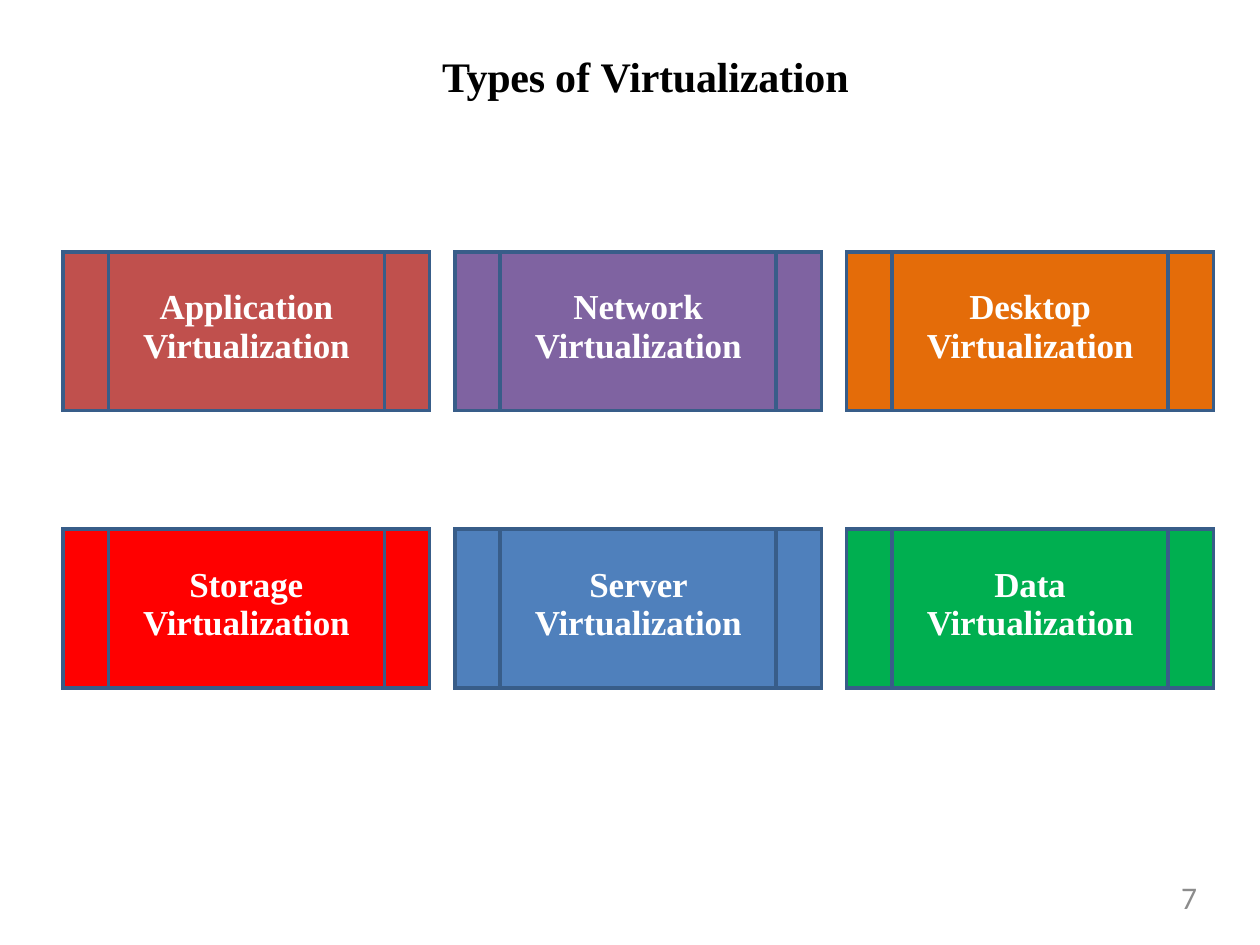
from lxml.etree import SubElement
from pptx import Presentation
from pptx.dml.color import RGBColor
from pptx.enum.text import MSO_AUTO_SIZE, PP_ALIGN
from pptx.oxml import parse_xml
from pptx.oxml.ns import nsdecls, qn
from pptx.util import Inches, Pt

# Each row: (label, fill); a line break starts a new paragraph.
KINDS = [
    [("Application Virtualization", "C0504D"),
     ("Network\nVirtualization", "7F63A1"),
     ("Desktop Virtualization", "E46C09")],
    [("Storage\nVirtualization", "FF0000"),
     ("Server Virtualization", "4F80BC"),
     ("Data\nVirtualization", "00AF50")],
]
TITLE = [("Types ", -20), ("of ", 0), ("Virtualization", -10)]
PAGE = "7"

THEME = {
    "title": {"name": "Times New Roman", "size": Pt(24), "bold": True, "color": "000000"},
    "label": {"name": "Times New Roman", "size": Pt(20), "bold": True, "color": "FFFFFF"},
    "page": {"name": "Calibri", "size": Pt(18), "bold": False, "color": "8C8C8C"},
    "edge": {"color": "385D89", "width": Pt(2.25)},
}

WIDE, HIGH = 10, 7.5
LEFT, TOP = 0.5, 2
STEP_X, STEP_Y = 3.11, 2.2
COLS, CARD_H = (0.36, 2.19, 0.36), 1.26


def style(run, look, track=0):
    """Apply a theme look; track is letter spacing in 1/100 pt."""
    for key, val in THEME[look].items():
        if key == "color":
            run.font.color.rgb = RGBColor.from_string(val)
        else:
            setattr(run.font, key, val)
    if track:
        run.font._element.set("spc", str(track))


def pad(item, top=0):
    for side in ("left", "right", "bottom"):
        setattr(item, f"margin_{side}", 0)
    item.margin_top = Inches(top)


def add_text(slide, at, runs, look, align, top=0):
    frame = slide.shapes.add_textbox(*map(Inches, at)).text_frame
    pad(frame, top)
    frame.word_wrap = True
    frame.auto_size = MSO_AUTO_SIZE.SHAPE_TO_FIT_TEXT
    para = frame.paragraphs[0]
    para.alignment = align
    for text, track in runs:
        run = para.add_run()
        run.text = text
        style(run, look, track)


def outline(cell):
    """Draw all four borders; they must precede the fill in the XML."""
    edge, props = THEME["edge"], cell._tc.get_or_add_tcPr()
    for spot, side in enumerate("LRTB"):
        line = parse_xml(f'<a:ln{side} {nsdecls("a")} w="{edge["width"]}"/>')
        fill = SubElement(line, qn("a:solidFill"))
        SubElement(fill, qn("a:srgbClr"), val=edge["color"])
        props.insert(spot, line)


def add_card(slide, x, y, label, color):
    size = map(Inches, (x, y, sum(COLS), CARD_H))
    table = slide.shapes.add_table(1, len(COLS), *size).table
    table.first_row = table.horz_banding = False
    for col, width in zip(table.columns, COLS):
        col.width = Inches(width)
    for cell in table.iter_cells():
        cell.fill.solid()
        cell.fill.fore_color.rgb = RGBColor.from_string(color)
        outline(cell)
    mid = table.cell(0, 1)
    pad(mid, 0.29)
    mid.text = label
    for para in mid.text_frame.paragraphs:
        para.alignment = PP_ALIGN.CENTER
        style(para.runs[0], "label", -10)


def main():
    deck = Presentation()
    deck.slide_width, deck.slide_height = Inches(WIDE), Inches(HIGH)
    slide = deck.slides.add_slide(deck.slide_layouts[6])
    add_text(slide, (3.51, 0.39, 3.28, 0.43), TITLE, "title", PP_ALIGN.LEFT, 0.01)
    for r, row in enumerate(KINDS):
        for c, (label, color) in enumerate(row):
            add_card(slide, LEFT + c * STEP_X, TOP + r * STEP_Y, label, color)
    add_text(slide, (7.2, 6.97, 2.3, 0.38), [(PAGE, 0)], "page", PP_ALIGN.RIGHT)
    deck.save("out.pptx")


if __name__ == "__main__":
    main()
